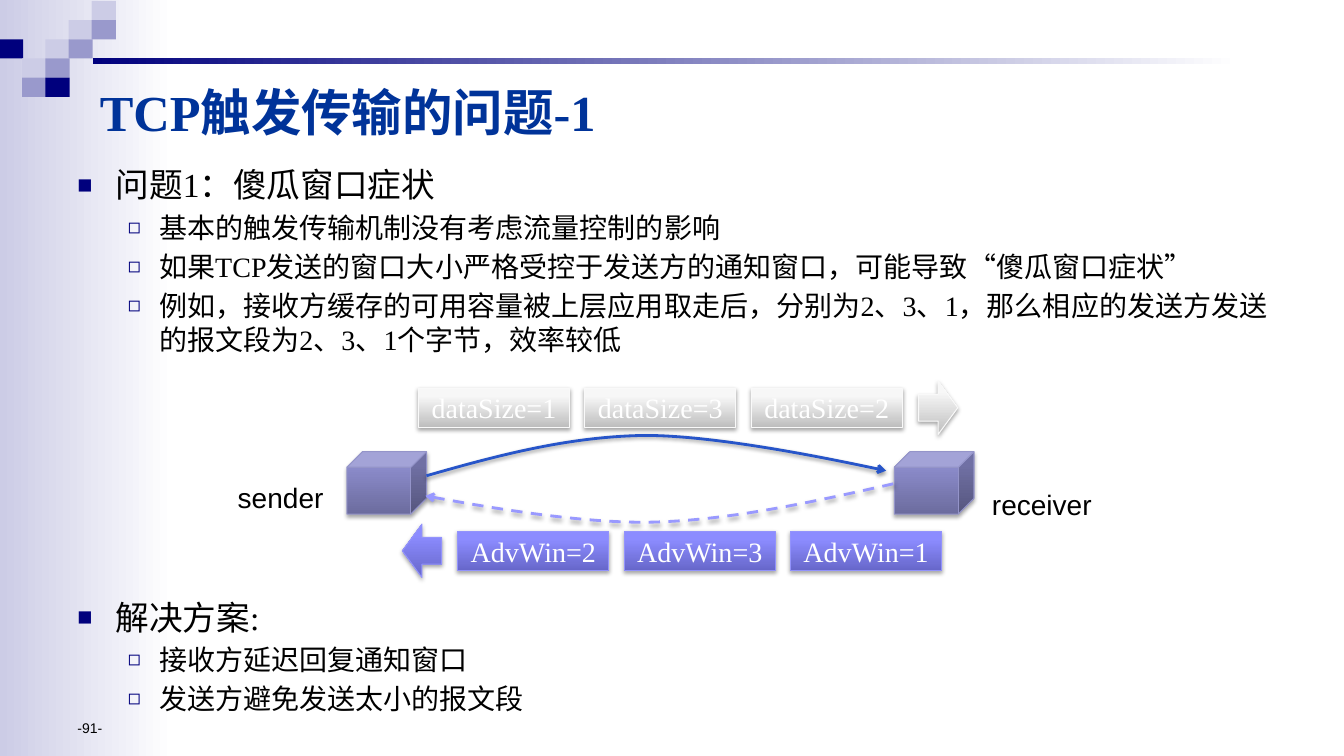
"""Builds the slide on the silly window syndrome in TCP transmission."""
from lxml.etree import SubElement
from pptx import Presentation
from pptx.dml.color import RGBColor
from pptx.enum.dml import MSO_LINE
from pptx.enum.shapes import MSO_SHAPE as Preset
from pptx.enum.text import MSO_ANCHOR as Anchor, PP_ALIGN as Align
from pptx.oxml.ns import qn
from pptx.util import Inches, Pt

SERIF, SANS = "Times New Roman", "Arial"
NAVY, PALE, MID, BLACK, WHITE = "00007D", "CCCCE6", "9999CC", "000000", "FFFFFF"
TITLE = "TCP触发传输的问题-1"
PAGE = "-91-"
OUTLINE = [
    (0, "问题1：傻瓜窗口症状", 0),
    (1, "基本的触发传输机制没有考虑流量控制的影响", 4),
    (1, "如果TCP发送的窗口大小严格受控于发送方的通知窗口，可能导致“傻瓜窗口症状”", 4),
    (1, "例如，接收方缓存的可用容量被上层应用取走后，分别为2、3、1，"
        "那么相应的发送方发送的报文段为2、3、1个字节，效率较低", 4),
    (0, "解决方案:", 172),
    (1, "接收方延迟回复通知窗口", 4),
    (1, "发送方避免发送太小的报文段", 4),
]
LEVELS = [
    {"size": 24, "bullet": "■", "left": 0.38, "hang": 0.38},
    {"size": 20, "bullet": "◻", "left": 0.81, "hang": 0.31},
]
MOSAIC = [
    (4, 0, PALE), (3, 1, PALE), (4, 1, MID), (0, 2, NAVY), (2, 2, PALE),
    (3, 2, MID), (1, 3, PALE), (2, 3, MID), (1, 4, MID), (2, 4, NAVY),
]
CUBE_LOOK = ([(0, "6C6C9E"), (80, "8D8DCD"), (100, "8C8CCF")], "9494C9")
ADVERT_LOOK = ([(0, "6767CA"), (80, "8C8CFF"), (100, "8E8EFF")], "9393FC")
DATA_LOOK = ([(0, "BEBEBE"), (80, "F7F7F7"), (100, "F8F8F8")], "F9F9F9")
HOSTS = [("sender", 3.44, (2.26, 4.72, 1.06)), ("receiver", 8.87, (9.74, 4.79, 1.2))]
SEGMENT_ROWS = [
    (["dataSize=1", "dataSize=3", "dataSize=2"], 4.15, 3.85, DATA_LOOK, Preset.RIGHT_ARROW, 9.11),
    (["AdvWin=2", "AdvWin=3", "AdvWin=1"], 4.54, 5.27, ADVERT_LOOK, Preset.LEFT_ARROW, 3.99),
]
SEGMENT_W, SEGMENT_H, SEGMENT_GAP = 1.5, 0.39, 0.15
ARROW_W, ARROW_H = 0.39, 0.53
FLOWS = [
    ([(4.23, 4.72), (4.93, 4.52), (5.64, 4.33), (6.4, 4.32),
      (7.16, 4.32), (8.79, 4.67), (8.79, 4.67)], "2755C9", None),
    ([(8.86, 4.8), (8.06, 4.98), (7.25, 5.16), (6.48, 5.18),
      (5.71, 5.2), (4.22, 4.92), (4.22, 4.92)], "9999FF", MSO_LINE.DASH),
]


def color(code):
    return RGBColor.from_string(code)


def style_runs(paragraph, size, font, code, bold=False):
    for run in paragraph.runs:
        run.font.size, run.font.name, run.font.bold = Pt(size), font, bold
        run.font.color.rgb = color(code)


def add_preset(slide, preset, *box):
    shape = slide.shapes.add_shape(preset, *map(Inches, box))
    shape.shadow.inherit = False
    shape.line.fill.background()
    return shape


def fill_solid(shape, code):
    shape.fill.solid()
    shape.fill.fore_color.rgb = color(code)


def fill_gradient(shape, stops, angle):
    shape.fill.gradient()
    shape.fill.gradient_angle = angle
    stop_list = shape.element.spPr.find(qn("a:gradFill")).find(qn("a:gsLst"))
    for stop in list(stop_list):
        stop_list.remove(stop)
    for position, code in stops:
        stop = SubElement(stop_list, qn("a:gs"), pos=str(position * 1000))
        SubElement(stop, qn("a:srgbClr"), val=code)


def cast_shadow(shape, opacity, distance):
    shape.shadow.inherit = False
    effects = shape.element.spPr.find(qn("a:effectLst"))
    shadow = SubElement(effects, qn("a:outerShdw"), blurRad=str(Pt(3.1)),
                        dist=str(Pt(distance)), dir="5400000", rotWithShape="0")
    tint = SubElement(shadow, qn("a:srgbClr"), val=BLACK)
    SubElement(tint, qn("a:alpha"), val=str(opacity * 1000))


def add_glossy(slide, preset, look, *box):
    stops, edge = look
    shape = add_preset(slide, preset, *box)
    fill_gradient(shape, stops, 90)
    shape.line.color.rgb = color(edge)
    shape.line.width = Pt(0.75)
    cast_shadow(shape, 35, 1.8)
    return shape


def add_label(slide, text, size, anchor, wrap, *box):
    frame = slide.shapes.add_textbox(*map(Inches, box)).text_frame
    frame.word_wrap = wrap
    frame.vertical_anchor = anchor
    frame.text = text
    style_runs(frame.paragraphs[0], size, SANS, BLACK)


def add_backdrop(slide):
    fill_gradient(add_preset(slide, Preset.RECTANGLE, 0, 0, 1.73, 7.5),
                  [(0, PALE), (100, WHITE)], 0)
    for column, row, code in MOSAIC:
        tile = add_preset(slide, Preset.RECTANGLE, -0.01 + 0.23 * column,
                          0.01 + 0.19 * row, 0.24, 0.19)
        fill_solid(tile, code)
    fill_gradient(add_preset(slide, Preset.RECTANGLE, 0.92, 0.58, 11.37, 0.06),
                  [(0, NAVY), (100, WHITE)], 0)


def add_title(slide):
    title = slide.shapes.title
    title.element.getparent().append(title.element)
    title.left, title.top, title.width, title.height = map(Inches, (0.89, 0.75, 9.13, 0.71))
    title.text_frame.text = TITLE
    title.text_frame.vertical_anchor = Anchor.MIDDLE
    heading = title.text_frame.paragraphs[0]
    heading.alignment = Align.LEFT
    style_runs(heading, 36, SERIF, "003399", True)


def add_outline(slide):
    frame = slide.shapes.add_textbox(*map(Inches, (0.67, 1.58, 12, 5.59))).text_frame
    frame.word_wrap = True
    for index, (depth, text, gap) in enumerate(OUTLINE):
        level = LEVELS[depth]
        point = frame.add_paragraph() if index else frame.paragraphs[0]
        point.text = text
        point.level = depth
        point.space_before = Pt(gap)
        style_runs(point, level["size"], SERIF, BLACK)
        props = point._p.get_or_add_pPr()
        props.set("marL", str(Inches(level["left"])))
        props.set("indent", str(-Inches(level["hang"])))
        SubElement(SubElement(props, qn("a:buClr")), qn("a:srgbClr"), val=NAVY)
        SubElement(props, qn("a:buSzPct"), val="75000")
        SubElement(props, qn("a:buFont"), typeface=SANS)
        SubElement(props, qn("a:buChar"), char=level["bullet"])


def add_flow(slide, points, code, dash):
    start, *rest = [(Inches(x), Inches(y)) for x, y in points]
    builder = slide.shapes.build_freeform(*start)
    builder.add_line_segments(rest, close=False)
    flow = builder.convert_to_shape()
    outline = next(flow.element.iter(qn("a:path")))
    legs = outline.findall(qn("a:lnTo"))
    for first in range(0, len(legs), 3):
        bend = SubElement(outline, qn("a:cubicBezTo"))
        for leg in legs[first:first + 3]:
            bend.append(leg[0])
            outline.remove(leg)
    flow.fill.background()
    flow.line.color.rgb = color(code)
    flow.line.width = Pt(2)
    if dash:
        flow.line.dash_style = dash
    SubElement(flow.element.spPr.find(qn("a:ln")), qn("a:tailEnd"), type="arrow")
    cast_shadow(flow, 38, 1.6)


def add_exchange(slide):
    for host, left, label_box in HOSTS:
        add_glossy(slide, Preset.CUBE, CUBE_LOOK, left, 4.48, 0.79, 0.62)
        add_label(slide, host, 20, Anchor.TOP, False, *label_box, 0.44)
    for points, code, dash in FLOWS:
        add_flow(slide, points, code, dash)
    for segments, left, top, look, arrow, arrow_left in SEGMENT_ROWS:
        for index, text in enumerate(segments):
            segment = add_glossy(slide, Preset.RECTANGLE, look,
                                 left + index * (SEGMENT_W + SEGMENT_GAP),
                                 top, SEGMENT_W, SEGMENT_H)
            segment.text_frame.text = text
            segment.text_frame.vertical_anchor = Anchor.MIDDLE
            segment.text_frame.paragraphs[0].alignment = Align.CENTER
            style_runs(segment.text_frame.paragraphs[0], 20, SERIF, WHITE)
        add_glossy(slide, arrow, look, arrow_left,
                   top + (SEGMENT_H - ARROW_H) / 2, ARROW_W, ARROW_H)


def main():
    deck = Presentation()
    deck.slide_width, deck.slide_height = Inches(13.33), Inches(7.5)
    slide = deck.slides.add_slide(deck.slide_layouts[5])
    add_backdrop(slide)
    add_title(slide)
    add_outline(slide)
    add_label(slide, PAGE, 10, Anchor.BOTTOM, True, 0.67, 6.83, 3.11, 0.52)
    add_exchange(slide)
    deck.save("out.pptx")


if __name__ == "__main__":
    main()
